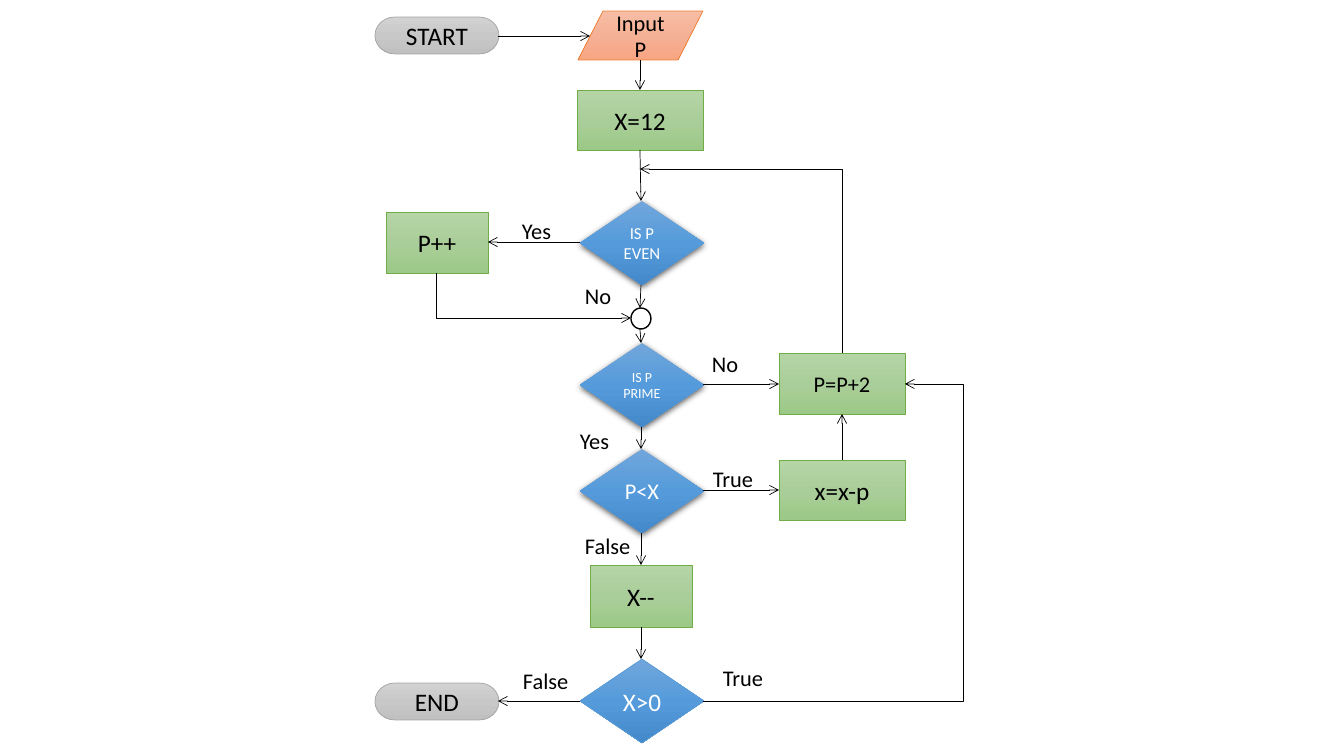
from copy import deepcopy

from lxml import etree
from pptx import Presentation
from pptx import util as u
from pptx.dml.color import RGBColor
from pptx.enum import shapes, text
from pptx.oxml import ns

PX = 9144000 / 1008  # EMU per pixel
BLACK = RGBColor(0, 0, 0)
WHITE = RGBColor(255, 255, 255)
BLUE_LINE = RGBColor(0x5B, 0x9B, 0xD5)
GREY, GREEN, BLUE, ORANGE = [
    [RGBColor.from_string(c) for c in stops.split()]
    for stops in ("D2D2D2 C8C8C8 C0C0C0", "B5D5A7 AACE9A 9CC987",
                  "71A6DB 559BDB 448ACA", "F7BDA5 F5B196 F8A582")]
GREY_LINE = RGBColor(0xA5, 0xA5, 0xA5)
GREEN_LINE = RGBColor(0x70, 0xAD, 0x47)
ORANGE_LINE = RGBColor(0xED, 0x7D, 0x31)


def px(*values):
    return [u.Emu(round(v * PX)) for v in values]


def write(sp, words, size=18, color=BLACK, align=text.PP_ALIGN.CENTER,
          anchor=text.MSO_ANCHOR.MIDDLE):
    tf = sp.text_frame
    tf.word_wrap = True
    tf.vertical_anchor = anchor
    p = tf.paragraphs[0]
    p.alignment = align
    r = p.add_run()
    r.text = words
    r.font.name, r.font.size = "Calibri", u.Pt(size)
    r.font.color.rgb = color


prs = Presentation()
prs.slide_width, prs.slide_height = px(1344, 756)
s = prs.slides.add_slide(prs.slide_layouts[6])

# Styles: preset, gradient, outline, text colour
KIND = shapes.MSO_SHAPE
TERMINAL = (KIND.FLOWCHART_TERMINATOR, GREY, GREY_LINE, BLACK)
PROCESS = (KIND.FLOWCHART_PROCESS, GREEN, GREEN_LINE, BLACK)
TEST = (KIND.FLOWCHART_DECISION, BLUE, None, WHITE)  # shadow, no outline
LAST_TEST = (KIND.FLOWCHART_DECISION, BLUE, BLUE_LINE, WHITE)
INPUT = (KIND.FLOWCHART_DATA, ORANGE, ORANGE_LINE, BLACK)

# Flowchart steps
for words, style, box, size in [
    ("START", TERMINAL, (375, 17, 124, 37), 18),
    ("Input P", INPUT, (578, 11, 125, 49), 16),
    ("X=12", PROCESS, (577, 90, 126, 60), 18),
    ("IS P EVEN", TEST, (580, 201, 124, 84), 12),
    ("P++", PROCESS, (386, 212, 102, 61), 18),
    ("IS P PRIME", TEST, (580, 343, 124, 84), 10),
    ("P<X", TEST, (580, 449, 124, 84), 16),
    ("X--", PROCESS, (590, 565, 102, 62), 18),
    ("X>0", LAST_TEST, (580, 659, 124, 84), 18),
    ("END", TERMINAL, (375, 683, 124, 37), 18),
    ("P=P+2", PROCESS, (779, 353, 126, 61), 16),
    ("x=x-p", PROCESS, (779, 460, 126, 60), 18),
]:
    preset, colors, outline, font_color = style
    sp = s.shapes.add_shape(preset, *px(*box))
    sp.shadow.inherit = False
    sp.fill.gradient()
    first_stop = next(sp._element.spPr.iter(ns.qn("a:gs")))
    first_stop.addnext(deepcopy(first_stop))
    for stop, color, position in zip(sp.fill.gradient_stops, colors, (0, 0.5, 1)):
        stop.color.rgb = color
        stop.position = position
    sp.fill.gradient_angle = 270
    if outline is not None:
        sp.line.color.rgb = outline
        sp.line.width = u.Pt(0.5)
    else:
        sp.line.fill.background()
        effects = sp._element.spPr.find(ns.qn("a:effectLst"))
        shadow = etree.SubElement(effects, ns.qn("a:outerShdw"), blurRad="57150",
                                  dist="19050", dir="5400000", algn="ctr", rotWithShape="0")
        shade = etree.SubElement(shadow, ns.qn("a:srgbClr"), val="000000")
        etree.SubElement(shade, ns.qn("a:alpha"), val="63000")
    write(sp, words, size=size, color=font_color)

# Junction circle
sp = s.shapes.add_shape(KIND.FLOWCHART_CONNECTOR, *px(631, 308, 20, 21))
sp.shadow.inherit = False
sp.fill.solid()
sp.fill.fore_color.rgb = WHITE
sp.line.color.rgb = BLACK
sp.line.width = u.Pt(1)

# Arrows: start, end, and for elbows the bend as a share of the width
for start, end, bend in [
    ((498, 36), (590, 36), None),
    ((640, 60), (640, 90), None),
    ((640, 150), (641, 201), None),
    ((580, 242), (488, 242), None),
    ((641, 285), (640, 308), None),
    ((640, 329), (641, 343), None),
    ((641, 427), (641, 449), None),
    ((641, 533), (641, 565), None),
    ((641, 627), (641, 659), None),
    ((703, 384), (779, 384), None),
    ((703, 490), (779, 490), None),
    ((842, 460), (842, 414), None),
    ((580, 701), (498, 701), None),
    ((436, 273), (631, 318), 0),
    ((842, 353), (640, 169), 0),
    ((703, 701), (905, 384), 1.29),
]:
    kind = shapes.MSO_CONNECTOR.STRAIGHT if bend is None else shapes.MSO_CONNECTOR.ELBOW
    arrow = s.shapes.add_connector(kind, *px(*start, *end))
    arrow.line.color.rgb = BLACK
    arrow.line.width = u.Pt(0.5)
    etree.SubElement(arrow.line._get_or_add_ln(), ns.qn("a:tailEnd"), type="arrow")
    sp_pr = arrow._element.spPr
    etree.SubElement(sp_pr, ns.qn("a:effectLst"))
    if bend is not None:
        guides = next(sp_pr.iter(ns.qn("a:avLst")))
        etree.SubElement(guides, ns.qn("a:gd"), name="adj1",
                         fmla=f"val {round(bend * 100000)}")

# Branch labels
for words, x, y in [
    ("Yes", 522, 212), ("No", 585, 277), ("No", 712, 345), ("Yes", 580, 422),
    ("True", 713, 460), ("False", 585, 527), ("False", 523, 662), ("True", 723, 659),
]:
    label = s.shapes.add_textbox(*px(x, y, 60, 37))
    label.text_frame.margin_left = label.text_frame.margin_right = 0
    write(label, words, size=16, align=text.PP_ALIGN.LEFT, anchor=text.MSO_ANCHOR.TOP)

prs.save("out.pptx")
